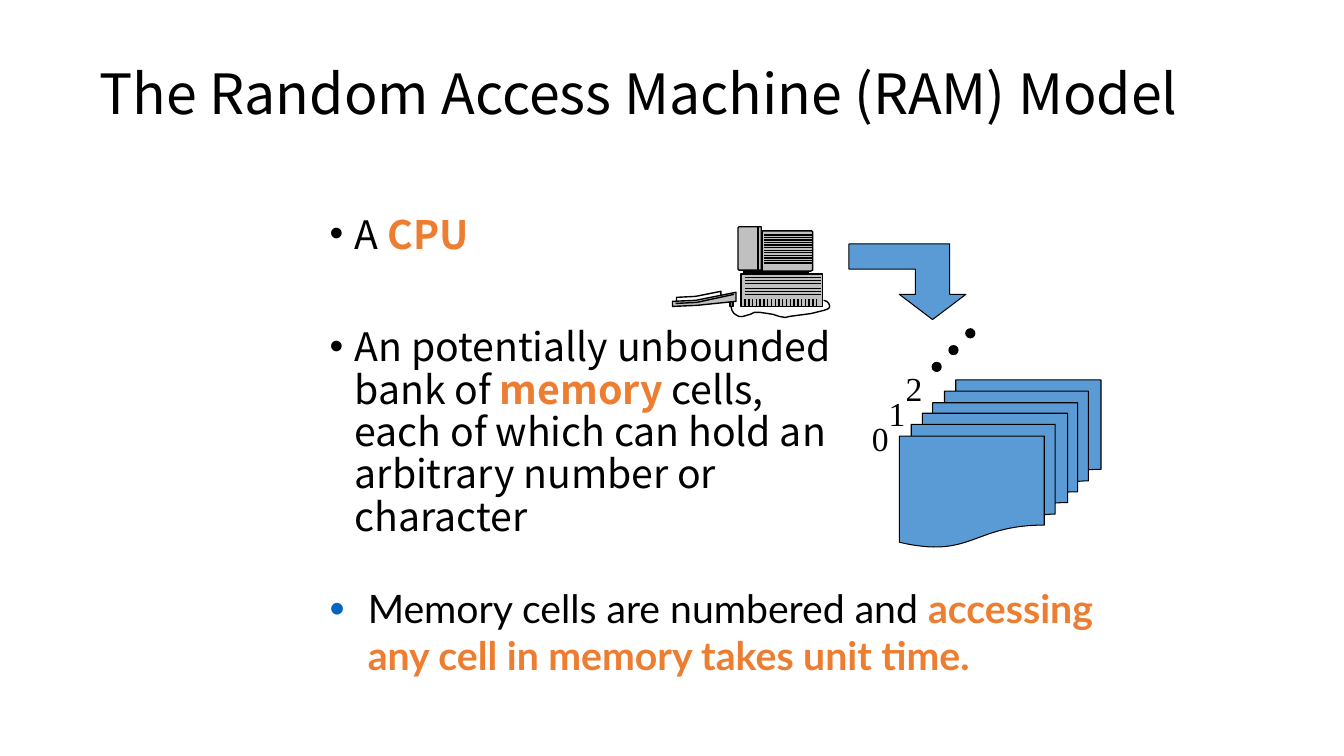
"""Build a slide that explains the Random Access Machine model."""
from typing import NamedTuple

from lxml.etree import SubElement
from pptx import Presentation
from pptx.dml.color import RGBColor
from pptx.enum.shapes import MSO_CONNECTOR as Connector, MSO_SHAPE as Preset
from pptx.enum.text import MSO_ANCHOR as Anchor
from pptx.oxml.ns import qn
from pptx.util import Cm, Length, Pt

BLACK = RGBColor(0x00, 0x00, 0x00)
WHITE = RGBColor(0xFF, 0xFF, 0xFF)
GRAY = RGBColor(0x80, 0x80, 0x80)
LIGHT_GRAY = RGBColor(0xC0, 0xC0, 0xC0)
DARK_GRAY = RGBColor(0x3F, 0x3F, 0x3F)
BLUE = RGBColor(0x5B, 0x9B, 0xD5)
BULLET_BLUE = RGBColor(0x05, 0x63, 0xC1)
ORANGE = RGBColor(0xED, 0x7D, 0x31)
SANS, LATO, SERIF = "Noto Sans CJK KR", "Lato", "Times New Roman"


class Run(NamedTuple):
    text: str
    strong: bool = False


class Box(NamedTuple):
    left: float
    top: float
    width: float
    height: float


class Outline(NamedTuple):
    points: list[tuple[float, float]]
    fill: RGBColor | None = None
    closed: bool = True
    weight: float = 1


class Stripes(NamedTuple):
    start: tuple[float, float]
    end: tuple[float, float]
    step: tuple[float, float]
    count: int


KEYBOARD = [
    Outline([(6.71, 2.95), (6.9, 2.94), (7.15, 2.89), (7.15, 2.97), (6.89, 3), (6.71, 3.01)], WHITE),
    Outline([(7.3, 2.9), (6.9, 2.98), (6.67, 2.99), (6.67, 3.04), (6.91, 3.03), (7.3, 2.99)], LIGHT_GRAY),
    Outline([(6.7, 3.01), (6.91, 3), (7.28, 2.92)], closed=False),
]
CABLE = Outline([
    (7.25, 3.04), (7.26, 3.08), (7.28, 3.11), (7.31, 3.13), (7.33, 3.14), (7.37, 3.14),
    (7.4, 3.13), (7.44, 3.12), (7.48, 3.1), (7.54, 3.1), (7.61, 3.11), (7.67, 3.12),
    (7.73, 3.14), (7.79, 3.15), (7.83, 3.14), (7.9, 3.13), (7.98, 3.12), (8.05, 3.11),
    (8.13, 3.09), (8.17, 3.08), (8.2, 3.07), (8.22, 3.06), (8.23, 3.04), (8.22, 3.01),
    (8.2, 2.99), (8.17, 2.98),
], closed=False)
STAND = Outline([(8.02, 2.71), (7.38, 2.71), (7.38, 2.69), (8.02, 2.69)], DARK_GRAY)
MONITOR = Outline([(7.56, 2.69), (8.04, 2.69), (8.06, 2.68), (8.06, 2.3), (8.05, 2.29), (7.56, 2.29)], LIGHT_GRAY)
MONITOR_FRONT = Outline([
    (7.55, 2.25), (7.55, 2.68), (7.34, 2.68), (7.33, 2.68), (7.32, 2.67),
    (7.32, 2.26), (7.33, 2.25), (7.34, 2.25),
], LIGHT_GRAY)
ACCESS_ARROW = Outline([
    (9.25, 3.17), (8.92, 2.92), (9.08, 2.92), (9.08, 2.67), (8.42, 2.67),
    (8.42, 2.42), (9.42, 2.42), (9.42, 2.92), (9.58, 2.92),
], BLUE, weight=0.75)
CASE_STRIPES = [
    Stripes((7.39, 2.75), (8.14, 2.75), (0, 0.03), 3),
    Stripes((7.39, 2.86), (8.14, 2.86), (0, 0.03), 3),
    Stripes((7.39, 2.97), (7.39, 3.05), (0.71 / 19, 0), 20),
]
MONITOR_STRIPES = Stripes((7.58, 2.33), (8.05, 2.33), (0, 0.28 / 11), 12)
FRONT_EDGE = Stripes((7.52, 2.25), (7.52, 2.7), (0, 0), 1)


def inch(value: float) -> Length:
    """Turn inches into a length."""
    return Cm(value * 2.54)


def style(shape, fill: RGBColor | None, weight: float) -> None:
    """Set fill and black line and drop the shadow."""
    shape.shadow.inherit = False
    if fill is None:
        shape.fill.background()
    else:
        shape.fill.solid()
        shape.fill.fore_color.rgb = fill
    shape.line.color.rgb = BLACK
    shape.line.width = Pt(weight)


def add_preset(slide, preset: Preset, box: Box, fill: RGBColor, weight: float = 1) -> None:
    """Add a preset shape."""
    style(slide.shapes.add_shape(preset, *map(inch, box)), fill, weight)


def add_outline(slide, outline: Outline) -> None:
    """Add a freeform through the points of an outline."""
    first, *others = [(inch(x), inch(y)) for x, y in outline.points]
    builder = slide.shapes.build_freeform(*first)
    builder.add_line_segments(others, close=outline.closed)
    style(builder.convert_to_shape(), outline.fill, outline.weight)


def add_stripes(slide, stripes: Stripes) -> None:
    """Add evenly spaced parallel lines."""
    for index in range(stripes.count):
        ends = [
            inch(place + index * step)
            for point in (stripes.start, stripes.end)
            for place, step in zip(point, stripes.step)
        ]
        line = slide.shapes.add_connector(Connector.STRAIGHT, *ends)
        line.line.color.rgb = BLACK
        line.line.width = Pt(1)
        SubElement(line._element.spPr, qn("a:effectLst"))


def add_bullet(paragraph, indent: float, color: RGBColor | None, percent: int) -> None:
    """Give a paragraph a hanging bullet."""
    properties = paragraph._p.get_or_add_pPr()
    properties.set("marL", str(inch(indent)))
    properties.set("indent", str(-inch(indent)))
    if color is not None:
        holder = SubElement(properties, qn("a:buClr"))
        SubElement(holder, qn("a:srgbClr"), val=str(color))
    SubElement(properties, qn("a:buSzPct"), val=str(percent * 1000))
    SubElement(properties, qn("a:buFont"), typeface="Arial")
    SubElement(properties, qn("a:buChar"), char="•")


def add_text(slide, box: Box, paragraphs: list[list[Run]], *, font: str, size: float,
             spacing: float | Length = 1.0, gap: float = 0, indent: float = 0,
             bullet_color: RGBColor | None = None, bullet_percent: int = 100,
             anchor: Anchor = Anchor.TOP, wrap: bool = True) -> None:
    """Add a text box with formatted paragraphs."""
    frame = slide.shapes.add_textbox(*map(inch, box)).text_frame
    frame.word_wrap = wrap
    frame.vertical_anchor = anchor
    for index, runs in enumerate(paragraphs):
        paragraph = frame.add_paragraph() if index else frame.paragraphs[0]
        paragraph.line_spacing = spacing
        paragraph.space_before = Pt(gap if index else 0)
        if indent:
            add_bullet(paragraph, indent, bullet_color, bullet_percent)
        for piece in runs:
            run = paragraph.add_run()
            run.text = piece.text
            run.font.name = font
            run.font.size = Pt(size)
            run.font.bold = piece.strong
            run.font.color.rgb = ORANGE if piece.strong else BLACK


def draw_computer(slide) -> None:
    """Draw the computer with keyboard, case and monitor."""
    add_outline(slide, KEYBOARD[0])
    add_preset(slide, Preset.RECTANGLE, Box(7.24, 2.98, 0.03, 0.06), GRAY)
    for outline in (*KEYBOARD[1:], CABLE):
        add_outline(slide, outline)
    add_preset(slide, Preset.RECTANGLE, Box(7.35, 2.72, 0.81, 0.32), LIGHT_GRAY)
    for stripes in CASE_STRIPES:
        add_stripes(slide, stripes)
    add_outline(slide, STAND)
    add_outline(slide, MONITOR)
    add_stripes(slide, MONITOR_STRIPES)
    add_outline(slide, MONITOR_FRONT)
    add_stripes(slide, FRONT_EDGE)


def draw_memory(slide) -> None:
    """Draw the numbered memory cells and the arrow to them."""
    for left, top in ((9.25, 3.77), (8.92, 4.1)):
        add_preset(slide, Preset.FLOWCHART_MULTIDOCUMENT, Box(left, top, 1.67, 1.33), BLUE, 0.75)
    for index in range(3):
        add_text(slide, Box(8.55 + index / 6, 4.1 - index / 4, 0.37, 0.5), [[Run(str(index))]],
                 font=SERIF, size=24, wrap=False)
        add_preset(slide, Preset.OVAL, Box(9.25 + index / 6, 3.6 - index / 6, 0.08, 0.08), BLACK, 1.5)
    add_outline(slide, ACCESS_ARROW)


def main() -> None:
    """Build and save the presentation."""
    presentation = Presentation()
    presentation.slide_width, presentation.slide_height = inch(13.33), inch(7.5)
    slide = presentation.slides.add_slide(presentation.slide_layouts[6])
    add_text(slide, Box(0.89, 0.33, 11.33, 1.25), [[Run("The Random Access Machine (RAM) Model")]],
             font=SANS, size=39.6, spacing=0.9, anchor=Anchor.MIDDLE)
    add_text(slide, Box(3.17, 2.08, 5.25, 3.67), [
        [Run("A "), Run("CPU", True)],
        [Run("An potentially unbounded bank of "), Run("memory", True),
         Run(" cells, each of which can hold an arbitrary number or character")],
    ], font=SANS, size=28, spacing=Pt(30.25), gap=50.25, indent=0.25)
    draw_computer(slide)
    draw_memory(slide)
    add_text(slide, Box(3.17, 5.75, 8, 1.25), [
        [Run("Memory cells are numbered and "),
         Run("accessing any cell in memory takes unit time.", True)],
    ], font=LATO, size=28, indent=0.38, bullet_color=BULLET_BLUE, bullet_percent=110)
    presentation.save("out.pptx")


if __name__ == "__main__":
    main()
